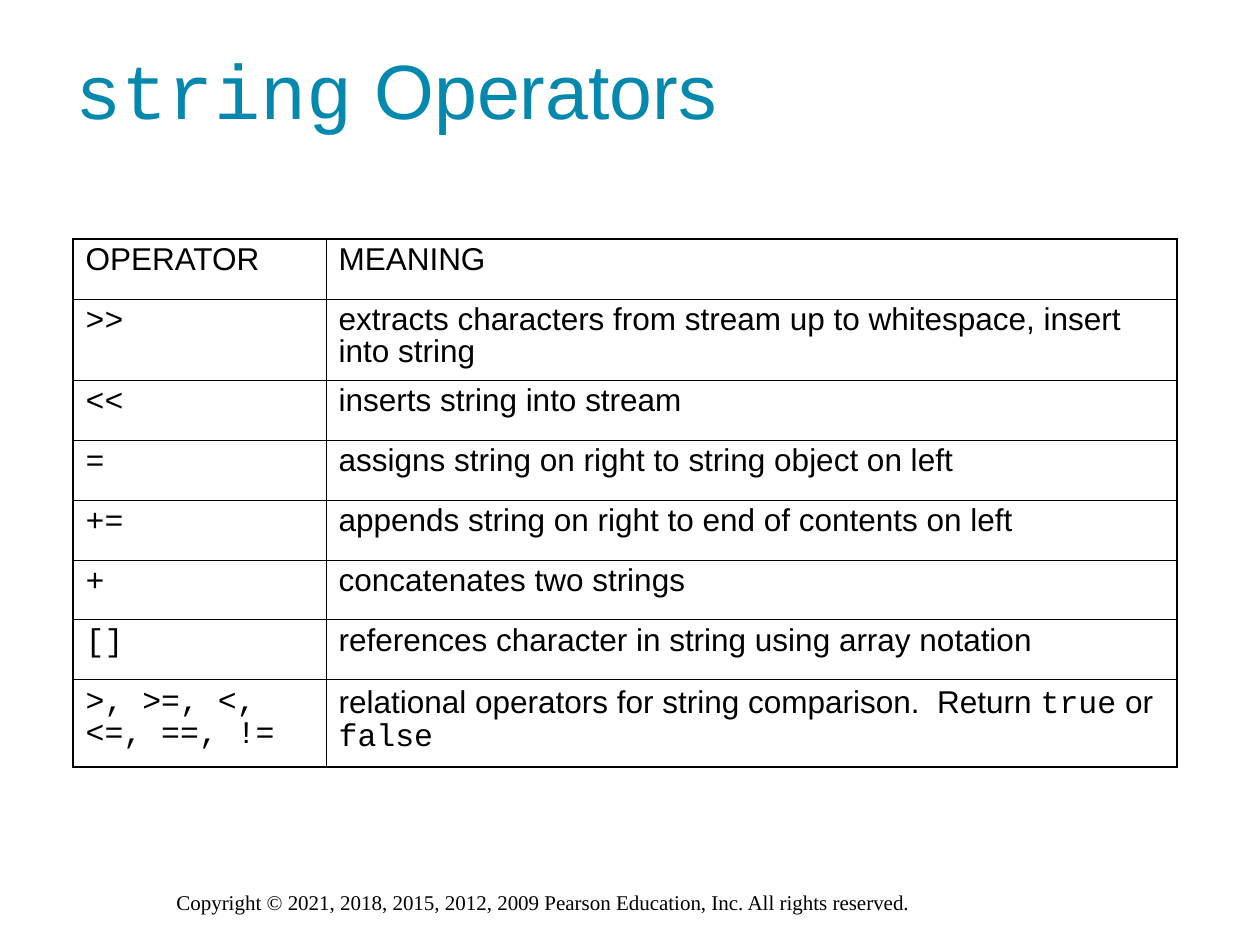
"""Builds a slide that lists the string operators in a table."""
import pptx
import pptx.util
import pptx.dml.color
import pptx.enum.text
import pptx.oxml.ns
import lxml.etree

SCALE = 914400 / 126
HUES = {"title": "0488AE", "ink": "000000"}
SANS, MONO, SERIF = "Arial", "Courier New", "Times New Roman"
THIN, THICK = 0.45, 1.08
ROWS = [
    (60, "OPERATOR", "MEANING"),
    (81, ">>", "extracts characters from stream up to whitespace, insert into string"),
    (60, "<<", "inserts string into stream"),
    (60, "=", "assigns string on right to string object on left"),
    (60, "+=", "appends string on right to end of contents on left"),
    (60, "+", "concatenates two strings"),
    (60, "[]", "references character in string using array notation"),
    (87, ">, >=, <,\n<=, ==, !=", [
        ("relational operators for string comparison.  Return ", SANS),
        ("true", MONO), (" or ", SANS), ("false", MONO)]),
]


def px(num):
    """Turn pixels into EMU."""
    return pptx.util.Emu(round(num * SCALE))


def write(frame, text, font=SANS, size=18, hue="ink", space=None):
    """Fill a text frame with a string or with (text, font) runs."""
    lines = [[(line, font)] for line in text.split("\n")] if isinstance(text, str) else [text]
    for num, line in enumerate(lines):
        para = frame.add_paragraph() if num else frame.paragraphs[0]
        para.alignment = pptx.enum.text.PP_ALIGN.LEFT
        para.line_spacing = space
        for part, face in line:
            run = para.add_run()
            run.text = part
            run.font.name = face
            run.font.size = pptx.util.Pt(size)
            run.font.bold = False
            run.font.color.rgb = pptx.dml.color.RGBColor.from_string(HUES[hue])


def edge(cell, widths):
    """Draw the left, right, top and bottom borders of a cell."""
    props = cell._tc.get_or_add_tcPr()
    for num, (side, width) in enumerate(zip("LRTB", widths)):
        line = lxml.etree.Element(pptx.oxml.ns.qn("a:ln" + side), w=str(pptx.util.Pt(width)))
        fill = lxml.etree.SubElement(line, pptx.oxml.ns.qn("a:solidFill"))
        lxml.etree.SubElement(fill, pptx.oxml.ns.qn("a:srgbClr"), val=HUES["ink"])
        props.insert(num, line)


class Deck:
    """Holds the style and the current slide."""

    def __init__(self, wide, high):
        """Start a deck with one title-only slide."""
        self.show = pptx.Presentation()
        self.show.slide_width, self.show.slide_height = px(wide), px(high)
        self.slide = self.show.slides.add_slide(self.show.slide_layouts[5])

    def title(self, runs, *box):
        """Place and fill the title."""
        shape = self.slide.shapes.title
        shape.left, shape.top, shape.width, shape.height = map(px, box)
        shape.text_frame.vertical_anchor = pptx.enum.text.MSO_ANCHOR.MIDDLE
        write(shape.text_frame, runs, size=44, hue="title")

    def label(self, text, *box, **form):
        """Add a text box."""
        frame = self.slide.shapes.add_textbox(*map(px, box)).text_frame
        frame.word_wrap = True
        write(frame, text, **form)

    def table(self, rows, cols, left, top):
        """Add a table with a thick outer frame and thin inner lines."""
        high = sum(row[0] for row in rows)
        grid = self.slide.shapes.add_table(
            len(rows), len(cols), px(left), px(top), px(sum(cols)), px(high)).table
        grid.first_row = grid.horz_banding = False
        for col, width in zip(grid.columns, cols):
            col.width = px(width)
        for r, (height, *texts) in enumerate(rows):
            grid.rows[r].height = px(height)
            for c, text in enumerate(texts):
                cell = grid.cell(r, c)
                cell.fill.background()
                outer = (c == 0, c == len(cols) - 1, r == 0, r == len(rows) - 1)
                edge(cell, [THICK if out else THIN for out in outer])
                write(cell.text_frame, text, font=MONO if r and c == 0 else SANS, space=0.9)


def main():
    """Build and save the slide."""
    deck = Deck(1260, 945)
    deck.label("Copyright © 2021, 2018, 2015, 2012, 2009 Pearson Education, Inc. All rights reserved.",
               164, 883, 935, 38, font=SERIF, size=12)
    deck.title([("string", MONO), (" Operators", SANS)], 63, 10, 1050, 158)
    deck.table(ROWS, (253, 851), 73, 239)
    deck.show.save("out.pptx")


if __name__ == "__main__":
    main()
